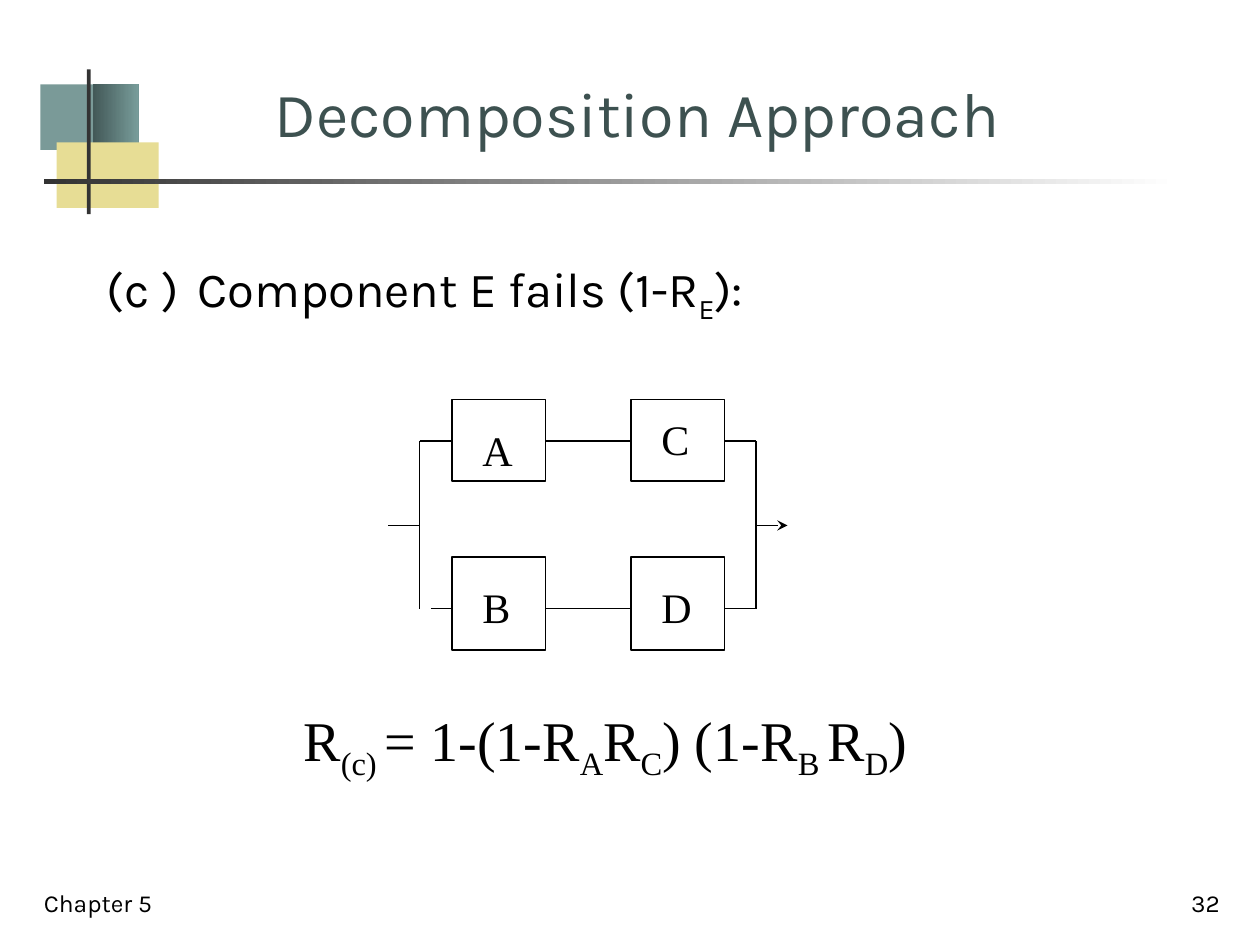
"""Build the decomposition approach slide: reliability block diagram with component E failed."""
import pptx
import pptx.dml.color
import pptx.enum.shapes
import pptx.enum.text
import pptx.oxml
import pptx.oxml.ns
import pptx.util

Inches = pptx.util.Inches
Pt = pptx.util.Pt
RGBColor = pptx.dml.color.RGBColor
Align = pptx.enum.text.PP_ALIGN
Anchor = pptx.enum.text.MSO_ANCHOR

BLACK = RGBColor(0x00, 0x00, 0x00)
WHITE = RGBColor(0xFF, 0xFF, 0xFF)
CHARCOAL = RGBColor(0x33, 0x33, 0x33)
TITLE_GREEN = RGBColor(0x3D, 0x51, 0x50)
TEAL = RGBColor(0x7A, 0x9A, 0x98)
DARK_TEAL = RGBColor(0x43, 0x59, 0x58)
LIGHT_TEAL = RGBColor(0x78, 0x9C, 0x9A)
YELLOW = RGBColor(0xE7, 0xDD, 0x95)


class SlidePainter:
    """Hold the style and the current slide, and draw each kind of element."""

    heading_font = "Karla"
    formula_font = "Times New Roman"
    line_width = Pt(1)

    def __init__(self, slide):
        self.slide = slide

    def rectangle(self, left, top, width, height, *colors):
        """Draw a plain, gradient (two colours) or outlined (no colour) rectangle."""
        rect = self.slide.shapes.add_shape(
            pptx.enum.shapes.MSO_SHAPE.RECTANGLE,
            Inches(left), Inches(top), Inches(width), Inches(height))
        rect.shadow.inherit = False
        if not colors:
            rect.fill.background()
            rect.line.color.rgb = BLACK
            rect.line.width = self.line_width
            return
        rect.line.fill.background()
        if len(colors) == 1:
            rect.fill.solid()
            rect.fill.fore_color.rgb = colors[0]
        else:
            rect.fill.gradient()
            rect.fill.gradient_angle = 0
            for stop, color in zip(rect.fill.gradient_stops, colors):
                stop.color.rgb = color

    def wire(self, x1, y1, x2, y2, arrow=False):
        """Draw a straight wire, with a stealth arrowhead if asked."""
        wire = self.slide.shapes.add_connector(
            pptx.enum.shapes.MSO_CONNECTOR.STRAIGHT,
            Inches(x1), Inches(y1), Inches(x2), Inches(y2))
        wire.line.color.rgb = BLACK
        wire.line.width = self.line_width
        if arrow:
            head = pptx.oxml.ns.qn("a:tailEnd")
            wire.line._get_or_add_ln().append(
                wire._element.makeelement(head, {"type": "stealth"}))
        properties = wire._element.spPr
        properties.append(properties.makeelement(pptx.oxml.ns.qn("a:effectLst"), {}))

    def text(self, left, top, width, height, pieces, size, font, color=BLACK,
             anchor=Anchor.TOP, align=Align.LEFT, wrap=True, hanging=0):
        """Write one paragraph whose pieces alternate between normal and subscript."""
        box = self.slide.shapes.add_textbox(
            Inches(left), Inches(top), Inches(width), Inches(height))
        frame = box.text_frame
        frame.word_wrap = wrap
        frame.vertical_anchor = anchor
        paragraph = frame.paragraphs[0]
        paragraph.alignment = align
        if hanging:
            layout = paragraph._p.get_or_add_pPr()
            layout.set("marL", str(Inches(hanging)))
            layout.set("indent", str(-Inches(hanging)))
        paragraph.font.size = Pt(size)
        paragraph.font.name = font
        paragraph.font.color.rgb = color
        for index, piece in enumerate(pieces):
            run = paragraph.add_run()
            run.text = piece
            if index % 2:
                run.font._element.set("baseline", "-25000")


def main():
    """Lay out the slide and save it."""
    presentation = pptx.Presentation()
    presentation.slide_width = Inches(10)
    presentation.slide_height = Inches(7.5)
    painter = SlidePainter(presentation.slides.add_slide(presentation.slide_layouts[6]))
    heading, formula = painter.heading_font, painter.formula_font

    painter.rectangle(0.32, 0.67, 0.48, 0.52, TEAL)
    painter.rectangle(0.74, 0.67, 0.36, 0.52, DARK_TEAL, LIGHT_TEAL)
    painter.rectangle(0.45, 1.13, 0.81, 0.52, YELLOW)
    painter.rectangle(0.69, 0.55, 0.03, 1.15, CHARCOAL)
    painter.rectangle(0.35, 1.42, 9, 0.04, CHARCOAL, WHITE)

    painter.text(2.08, 0.5, 5.99, 0.74, ["Decomposition Approach"], 36, heading,
                 TITLE_GREEN, Anchor.BOTTOM)
    painter.text(0.75, 2, 8.5, 4.5, ["(c )\tComponent E fails (1-R", "E", "):"],
                 28, heading, hanging=0.72)
    painter.text(0.25, 6.83, 2.08, 0.5, ["Chapter 5"], 14, heading, anchor=Anchor.BOTTOM)
    painter.text(7.7, 6.83, 2.08, 0.5, ["32"], 14, heading,
                 anchor=Anchor.BOTTOM, align=Align.RIGHT)

    left_column, right_column, block_width = 3.59, 5.01, 0.74
    upper, middle, lower = 3.5, 4.17, 4.83
    split, join, stub = 3.33, 6, 0.25
    blocks = [("A", left_column, 3.17, 0.65, 3.32), ("C", right_column, 3.17, 0.65, 3.23),
              ("B", left_column, 4.42, 0.74, 4.57), ("D", right_column, 4.42, 0.74, 4.57)]
    for name, left, top, height, label_top in blocks:
        painter.rectangle(left, top, block_width, height)
        painter.text(left + 0.14, label_top, 0.43, 0.5, [name], 24, formula, wrap=False)

    for level, branch_start in ((upper, split), (lower, 3.42)):
        painter.wire(branch_start, level, left_column, level)
        painter.wire(left_column + block_width, level, right_column, level)
        painter.wire(right_column + block_width, level, join, level)
    for node in (split, join):
        painter.wire(node, upper, node, lower)
    painter.wire(split - stub, middle, split, middle)
    painter.wire(join, middle, join + stub, middle, arrow=True)

    painter.text(2.31, 5.55, 4.99, 0.71,
                 ["R", "(c) ", "= 1-(1-R", "A", "R", "C", ") (1-R", "B ", "R", "D", ")"],
                 32, formula, wrap=False)
    presentation.save("out.pptx")


if __name__ == "__main__":
    main()
